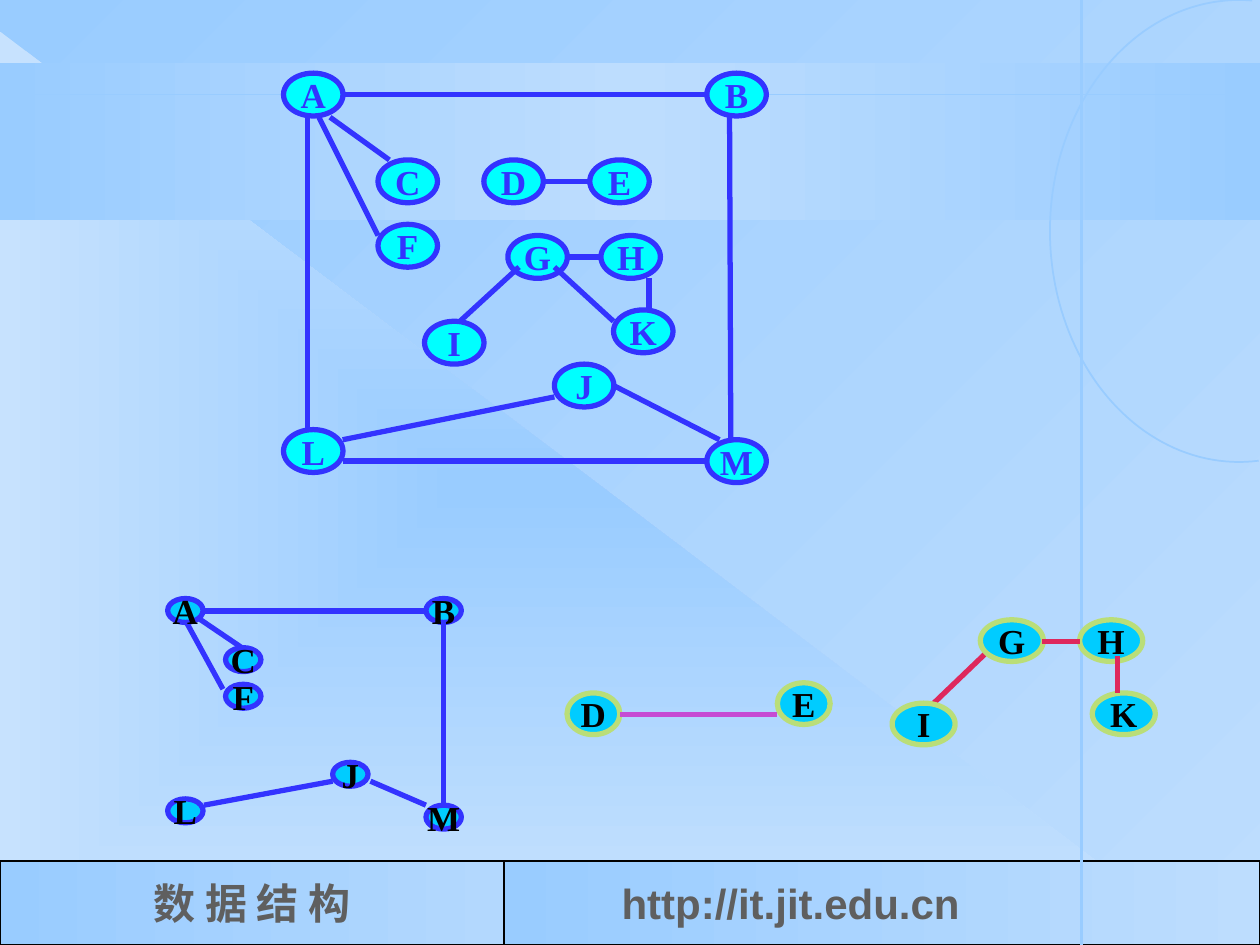
from math import cos, radians, sin

from lxml.etree import SubElement
from pptx import Presentation
from pptx.dml.color import RGBColor
from pptx.enum.shapes import MSO_CONNECTOR, MSO_SHAPE
from pptx.enum.text import MSO_ANCHOR, PP_ALIGN
from pptx.oxml.ns import qn
from pptx.util import Pt

COLORS = {
    "sky": "99CCFF", "pale": "BDDDFE", "mist": "C7E2FE", "haze": "B3D8FE",
    "black": "000000", "gray": "5F5F5F", "blue": "3333FF", "aqua": "00FFFF",
    "cyan": "00CCFF", "lime": "BADE78", "violet": "C64BD3", "crimson": "DE285C",
}
W, H = 720, 540
FOOTER_TOP, FOOTER_H = 492, 48
BACKGROUND = [(0, "pale"), (100, "sky")]
BANDS = [
    (MSO_SHAPE.RIGHT_TRIANGLE, (0, 18, 690, 522), [(0, "sky"), (100, "mist")], None),
    (MSO_SHAPE.RECTANGLE, (0, 36, W, 90), [(0, "sky"), (50, "pale"), (100, "sky")], 180),
]
FOOTERS = [
    ("数 据 结 构", 0, 288, [(0, "haze"), (100, "sky")], 180,
     "Times New Roman", PP_ALIGN.CENTER, 7.2),
    ("http://it.jit.edu.cn", 288, 432, [(0, "sky"), (100, "pale")], 0,
     "Arial", PP_ALIGN.LEFT, 67.2),
]
RULES = [((0, 54, W, 54), 1), ((618, 0, 618, H), 1.5)]
ARC = {"cx": 708, "cy": 132, "rx": 108, "ry": 132, "start": -86, "end": -276}
GRAPHS = [
    {"size": (34, 24.5), "fill": "aqua", "line": "blue", "text": "blue", "edge": "blue",
     "nodes": {"A": (162, 41.8), "B": (403.9, 41.8), "C": (216, 91.4), "D": (276.5, 91.4),
               "E": (337, 91.4), "F": (216, 128.2), "G": (290.2, 134.6),
               "H": (343.4, 134.6), "I": (242.6, 183.6), "J": (316.8, 208.1),
               "K": (350.6, 177.1), "L": (162, 245.5), "M": (403.9, 251.3)},
     "under": [],
     "over": [(310.3, 103.7, 337, 103.7), (175.7, 67, 175.7, 245.5),
              (416.9, 66.2, 417.6, 251.3), (195.8, 54, 403.9, 54),
              (195.8, 263.5, 403.9, 263.5), (188.6, 67, 222.5, 91.4),
              (182.2, 67, 216, 134.6), (195.8, 251.3, 316.8, 226.8),
              (350.6, 220.3, 411.1, 251.3), (296.6, 152.6, 262.8, 183.6),
              (323.3, 146.9, 343.4, 146.9), (316.8, 152.6, 350.6, 183.6),
              (370.8, 159.1, 370.8, 177.1)]},
    {"size": (30.2, 23.8), "fill": "cyan", "line": "lime", "text": "black", "edge": "violet",
     "nodes": {"D": (324, 396), "E": (444.2, 390.2)},
     "under": [],
     "over": [(354.2, 408.2, 444.2, 408.2)]},
    {"size": (36, 23.8), "fill": "cyan", "line": "lime", "text": "black", "edge": "crimson",
     "nodes": {"G": (560.2, 354.2), "H": (617, 354.2), "I": (509.8, 401.8), "K": (624.2, 396)},
     "under": [(565.9, 370.8, 531.4, 403.9)],
     "over": [(595.4, 366.5, 617, 366.5), (638.6, 375.1, 638.6, 396)]},
    {"size": (20.2, 13.7), "fill": "cyan", "line": "blue", "text": "black", "edge": "blue",
     "nodes": {"A": (95.8, 342), "B": (243.4, 342), "C": (128.9, 370.1), "F": (128.9, 391),
               "J": (190.1, 435.6), "L": (95.8, 456.5), "M": (243.4, 460.1)},
     "under": [(111.6, 352.1, 138.2, 370.1), (106.6, 355.7, 127.4, 393.8)],
     "over": [(116.6, 349.2, 243.4, 349.2), (116.6, 460.1, 190.1, 446.4),
              (253.4, 355.7, 253.4, 460.1), (211.7, 446.4, 243.4, 460.1)]},
]


def rgb(name):
    return RGBColor.from_string(COLORS[name])


def set_line(line, color, width):
    line.color.rgb = rgb(color)
    line.width = Pt(width)


def set_gradient(fill, element, stops, angle):
    fill.gradient()
    grad = element.find(".//" + qn("a:gradFill"))
    for child in list(grad):
        grad.remove(child)
    gs_list = SubElement(grad, qn("a:gsLst"))
    for pos, color in stops:
        gs = SubElement(gs_list, qn("a:gs"), pos=str(pos * 1000))
        SubElement(gs, qn("a:srgbClr"), val=COLORS[color])
    if angle is None:
        center = SubElement(grad, qn("a:path"), path="rect")
        SubElement(center, qn("a:fillToRect"), dict.fromkeys("ltrb", "50000"))
    else:
        SubElement(grad, qn("a:lin"), ang=str(angle * 60000), scaled="1")


def add_shape(shapes, kind, box):
    sp = shapes.add_shape(kind, *map(Pt, box))
    sp.shadow.inherit = False
    return sp


def add_line(shapes, ends, color, width):
    line = shapes.add_connector(MSO_CONNECTOR.STRAIGHT, *map(Pt, ends))
    set_line(line.line, color, width)
    SubElement(line._element.spPr, qn("a:effectLst"))


def add_text(sp, text, font, size, color, align=PP_ALIGN.CENTER, left=7.2, wrap=False):
    tf = sp.text_frame
    frame = {"word_wrap": wrap, "vertical_anchor": MSO_ANCHOR.MIDDLE,
             "margin_left": Pt(left), "margin_right": Pt(7.2),
             "margin_top": Pt(3.6), "margin_bottom": Pt(3.6)}
    for name, value in frame.items():
        setattr(tf, name, value)
    p = tf.paragraphs[0]
    p.alignment = align
    r = p.add_run()
    r.text = text
    for name, value in {"name": font, "size": Pt(size), "bold": True}.items():
        setattr(r.font, name, value)
    r.font.color.rgb = rgb(color)


def add_backdrop(s):
    set_gradient(s.background.fill, s._element, BACKGROUND, 225)
    for kind, box, stops, angle in BANDS:
        sp = add_shape(s.shapes, kind, box)
        set_gradient(sp.fill, sp._element, stops, angle)
        sp.line.fill.background()
    for text, left, width, stops, angle, font, align, margin in FOOTERS:
        sp = add_shape(s.shapes, MSO_SHAPE.RECTANGLE, (left, FOOTER_TOP, width, FOOTER_H))
        set_gradient(sp.fill, sp._element, stops, angle)
        set_line(sp.line, "black", 1.5)
        add_text(sp, text, font, 24, "gray", align, margin, True)
    for ends, width in RULES:
        add_line(s.shapes, ends, "sky", width)


def add_arc(s):
    angles = [radians(a) for a in range(ARC["start"], ARC["end"] - 1, -2)]
    points = [(Pt(ARC["cx"] + ARC["rx"] * cos(a)), Pt(ARC["cy"] + ARC["ry"] * sin(a)))
              for a in angles]
    fb = s.shapes.build_freeform(*points[0])
    fb.add_line_segments(points[1:], close=False)
    sp = fb.convert_to_shape()
    sp.shadow.inherit = False
    sp.fill.background()
    set_line(sp.line, "sky", 1)


def add_graph(s, graph):
    shapes = s.shapes.add_group_shape().shapes
    for ends in graph["under"]:
        add_line(shapes, ends, graph["edge"], 3)
    for label, corner in graph["nodes"].items():
        sp = add_shape(shapes, MSO_SHAPE.OVAL, corner + graph["size"])
        sp.fill.solid()
        sp.fill.fore_color.rgb = rgb(graph["fill"])
        set_line(sp.line, graph["line"], 3)
        add_text(sp, label, "Times New Roman", 20, graph["text"])
    for ends in graph["over"]:
        add_line(shapes, ends, graph["edge"], 3)


def main():
    prs = Presentation()
    prs.slide_width, prs.slide_height = Pt(W), Pt(H)
    s = prs.slides.add_slide(prs.slide_layouts[6])
    add_backdrop(s)
    add_arc(s)
    for graph in GRAPHS:
        add_graph(s, graph)
    prs.save("out.pptx")


if __name__ == "__main__":
    main()
